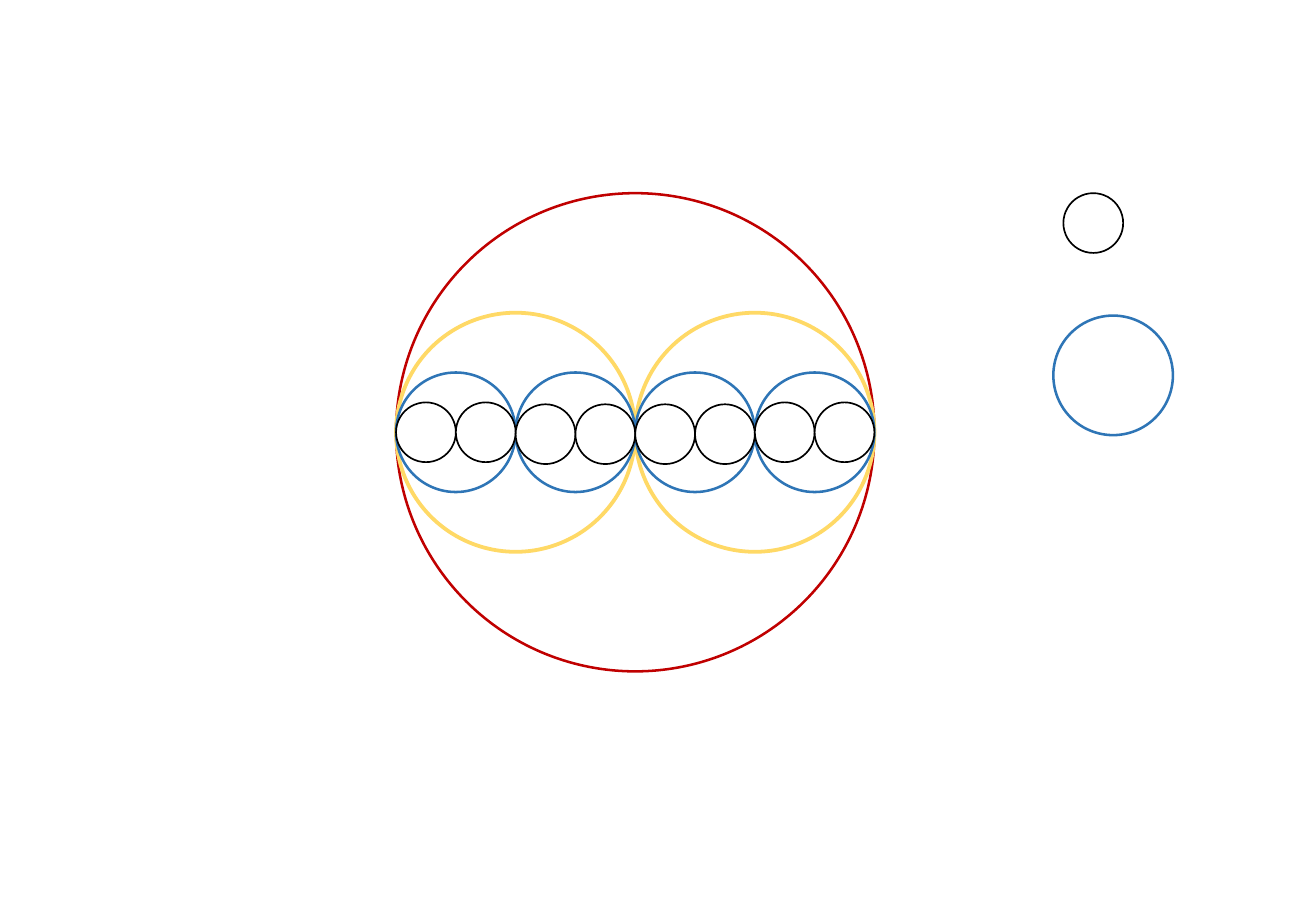
from pptx import Presentation
from pptx.dml.color import RGBColor
from pptx.enum.shapes import MSO_SHAPE as Shape
from pptx.util import Cm, Pt

COLORS = {
    "white": "FFFFFF",
    "red": "C00000",
    "yellow": "FFD966",
    "blue": "2E75B6",
    "black": "000000",
}
LEVELS = [("red", 1.5), ("yellow", 2.25), ("blue", 1.5), ("black", 1)]
DIAMETER = 10
LEFT, TOP = 8.28, 4.04
MIDDLE_DROP = 0.04


class CircleSlide:
    """Holds the circle styles and the current slide."""

    def __init__(self, presentation):
        """Add a blank slide to the presentation."""
        self.slide = presentation.slides.add_slide(presentation.slide_layouts[6])

    def circle(self, shapes, left, top, level):
        """Draw the circle of one halving level, placed in centimetres."""
        color, width = LEVELS[level]
        size = Cm(DIAMETER / 2**level)
        shape = shapes.add_shape(Shape.OVAL, Cm(left), Cm(top), size, size)
        shape.shadow.inherit = False
        shape.fill.solid()
        shape.fill.fore_color.rgb = RGBColor.from_string(COLORS["white"])
        shape.line.color.rgb = RGBColor.from_string(COLORS[color])
        shape.line.width = Pt(width)

    def nested_circles(self):
        """Group rows of circles that halve in size on a shared diameter."""
        shapes = self.slide.shapes.add_group_shape().shapes
        for level in range(len(LEVELS)):
            size = DIAMETER / 2**level
            top = TOP + (DIAMETER - size) / 2
            for index in range(2**level):
                drop = MIDDLE_DROP if level == 3 and 2 <= index <= 5 else 0
                self.circle(shapes, LEFT + index * size, top + drop, level)

    def single_circle(self, left, top, level):
        """Draw one loose circle beside the group."""
        self.circle(self.slide.shapes, left, top, level)


def main():
    """Build and save the slide."""
    presentation = Presentation()
    presentation.slide_width = Cm(27.51)
    presentation.slide_height = Cm(19.05)
    circles = CircleSlide(presentation)
    circles.nested_circles()
    circles.single_circle(22.23, TOP, 3)
    circles.single_circle(22.02, 6.6, 2)
    presentation.save("out.pptx")


if __name__ == "__main__":
    main()
